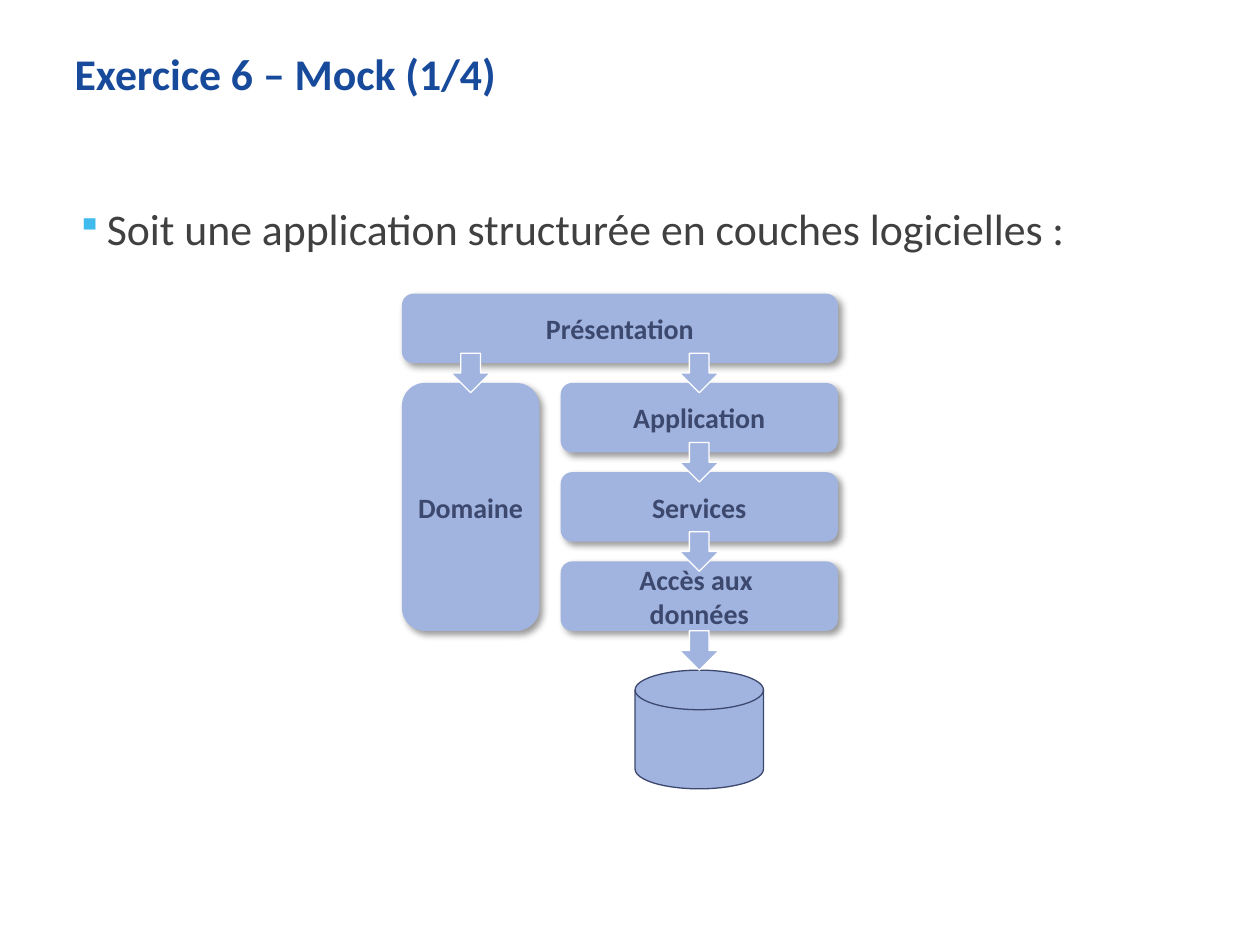
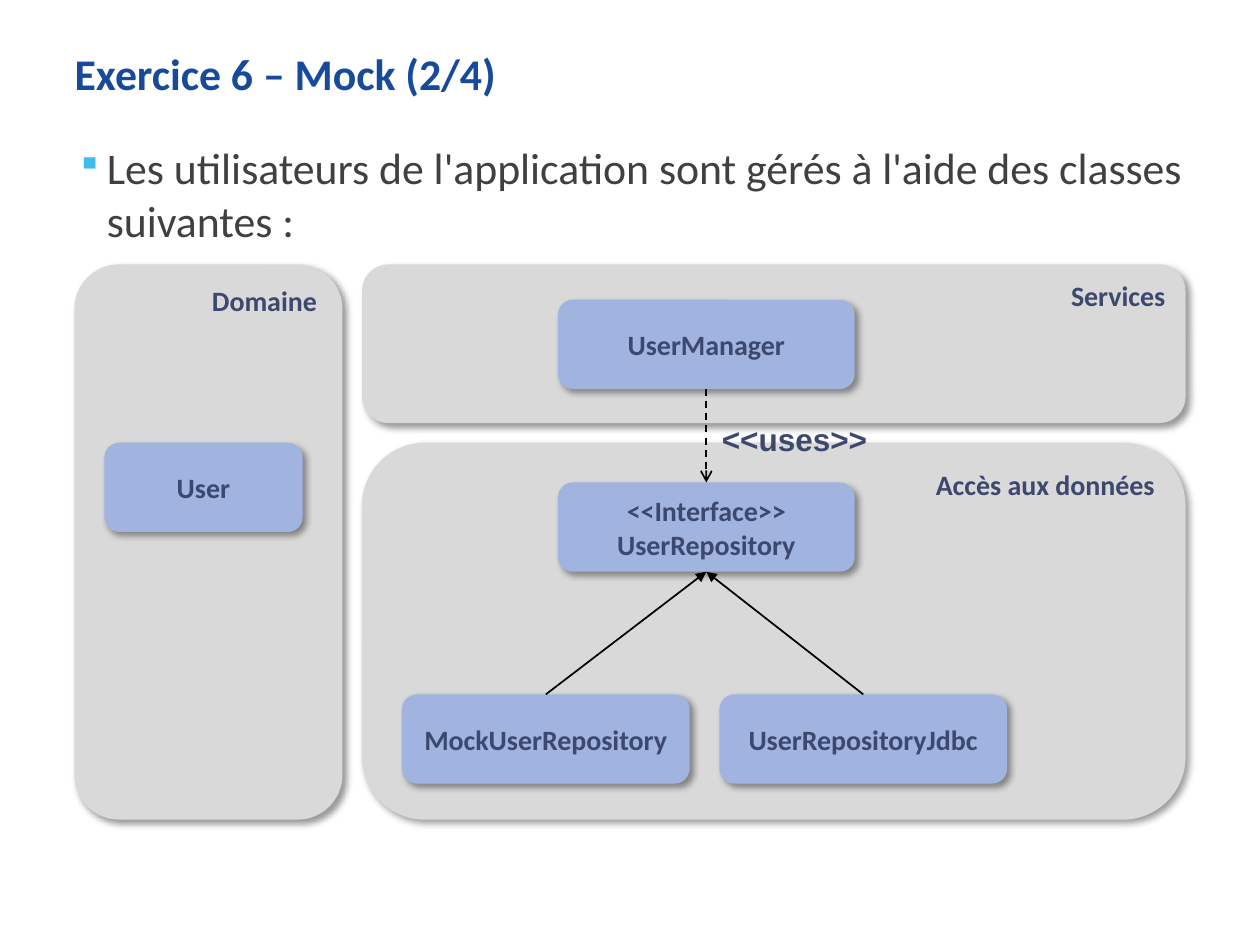
from lxml.etree import SubElement
from pptx import Presentation
from pptx.dml.color import RGBColor
from pptx.enum.dml import MSO_LINE
from pptx.enum.shapes import MSO_CONNECTOR as Connector, MSO_SHAPE as Preset
from pptx.enum.text import MSO_ANCHOR as Anchor, MSO_AUTO_SIZE as AutoSize, PP_ALIGN as Align
from pptx.oxml.ns import qn
from pptx.util import Pt

NAVY = RGBColor(0x17, 0x4A, 0x9B)
SLATE = RGBColor(0x3C, 0x48, 0x6E)
PERIWINKLE = RGBColor(0xA1, 0xB4, 0xDF)
GREY = RGBColor(0xD9, 0xD9, 0xD9)
CHARCOAL = RGBColor(0x40, 0x40, 0x40)
SKY = RGBColor(0x40, 0xBB, 0xED)
BLACK = RGBColor(0, 0, 0)
WHITE = RGBColor(0xFF, 0xFF, 0xFF)

TOP, BOTTOM = 0, 2


def add_xml(parent, tag, **attributes):
    return SubElement(parent, qn(tag), {key: str(value) for key, value in attributes.items()})


class Deck:
    font = "Calibri"
    heading_size = 25
    label_size = 16
    indent = 17.3

    def __init__(self):
        self.presentation = Presentation()
        self.presentation.slide_width = Pt(720)
        self.presentation.slide_height = Pt(540)
        self.slide = None

    def add_slide(self, title):
        self.slide = self.presentation.slides.add_slide(self.presentation.slide_layouts[5])
        shape = self.slide.shapes.title
        shape.left, shape.top, shape.width, shape.height = Pt(35.5), Pt(23), Pt(648.5), Pt(46)
        frame = shape.text_frame
        frame.auto_size = AutoSize.NONE
        frame.vertical_anchor = Anchor.TOP
        self.add_lines(frame, [title], self.heading_size, NAVY)

    def add_lines(self, frame, lines, size, color, align=Align.LEFT, bold=True, font=None):
        for index, line in enumerate(lines):
            paragraph = frame.add_paragraph() if index else frame.paragraphs[0]
            paragraph.alignment = align
            run = paragraph.add_run()
            run.text = line
            run.font.name = font or self.font
            run.font.size = Pt(size)
            run.font.bold = bold
            run.font.color.rgb = color

    def text_box(self, left, top, width, height):
        shape = self.slide.shapes.add_textbox(Pt(left), Pt(top), Pt(width), Pt(height))
        shape.text_frame.word_wrap = True
        return shape.text_frame

    def bullet(self, top, height, text):
        frame = self.text_box(36.7, top, 648, height)
        self.add_lines(frame, [text], self.heading_size, CHARCOAL, bold=False)
        properties = frame.paragraphs[0]._p.get_or_add_pPr()
        properties.set("marL", str(Pt(self.indent)))
        properties.set("indent", str(-Pt(self.indent)))
        add_xml(add_xml(properties, "a:buClr"), "a:srgbClr", val=SKY)
        add_xml(properties, "a:buSzPct", val=80000)
        add_xml(properties, "a:buChar", char="▪")

    def label(self, left, top, width, height, text):
        self.add_lines(self.text_box(left, top, width, height), [text], 18, SLATE, font="Arial")

    def shape(self, preset, left, top, width, height, fill=PERIWINKLE, line=None):
        shape = self.slide.shapes.add_shape(preset, Pt(left), Pt(top), Pt(width), Pt(height))
        shape.shadow.inherit = False
        shape.fill.solid()
        shape.fill.fore_color.rgb = fill
        if line is None:
            shape.line.fill.background()
        else:
            shape.line.color.rgb = line
            shape.line.width = Pt(0.75)
        return shape

    def box(self, left, top, width, height, *lines, fill=PERIWINKLE,
            align=Align.CENTER, anchor=Anchor.MIDDLE):
        shape = self.shape(Preset.ROUNDED_RECTANGLE, left, top, width, height, fill)
        effects = shape._element.spPr.find(qn("a:effectLst"))
        shadow = add_xml(effects, "a:outerShdw", blurRad=Pt(4), dist=Pt(3), dir=45 * 60000,
                         algn="tl", rotWithShape=0)
        add_xml(add_xml(shadow, "a:srgbClr", val=BLACK), "a:alpha", val=40000)
        frame = shape.text_frame
        frame.word_wrap = False
        frame.vertical_anchor = anchor
        self.add_lines(frame, lines, self.label_size, SLATE, align)
        return shape

    def panel(self, left, top, width, height, name):
        return self.box(left, top, width, height, name, fill=GREY,
                        align=Align.RIGHT, anchor=Anchor.TOP)

    def down_arrow(self, center, top, size):
        self.shape(Preset.DOWN_ARROW, center - size / 2, top, size, size, line=WHITE)

    def connect(self, source, target, head, dash=None):
        connector = self.slide.shapes.add_connector(Connector.STRAIGHT, 0, 0, 0, 0)
        connector.begin_connect(*source)
        connector.end_connect(*target)
        connector.line.color.rgb = BLACK
        connector.line.width = Pt(1)
        if dash:
            connector.line.dash_style = dash
        properties = connector._element.spPr
        add_xml(properties.find(qn("a:ln")), "a:tailEnd", type=head)
        add_xml(properties, "a:effectLst")


def build_layers(deck):
    deck.add_slide("Exercice 6 – Mock (1/4)")
    deck.bullet(111.6, 334.8, "Soit une application structurée en couches logicielles :")

    left, top, row_height, pitch = 229.7, 167.8, 39.7, 51
    domain_width, layer_left, layer_width = 78.5, 320.4, 158.4
    arrow_size = 22.5
    domain_center = left + domain_width / 2
    layer_center = layer_left + layer_width / 2
    gap = pitch - row_height

    deck.box(left, top, layer_left + layer_width - left, row_height, "Présentation")
    layers = [["Application"], ["Services"], ["Accès aux ", "données"]]
    for row, lines in enumerate(layers, start=1):
        deck.box(layer_left, top + row * pitch, layer_width, row_height, *lines)
    deck.box(left, top + pitch, domain_width, 2 * pitch + row_height, "Domaine")

    bottom = top + len(layers) * pitch + row_height
    disk_width = 73.4
    deck.shape(Preset.FLOWCHART_MAGNETIC_DISK, layer_center - disk_width / 2,
               bottom + arrow_size, disk_width, 67.8, line=SLATE)

    first_arrow = top + row_height + (gap - arrow_size) / 2
    for row in range(len(layers)):
        deck.down_arrow(layer_center, first_arrow + row * pitch, arrow_size)
    deck.down_arrow(layer_center, bottom, arrow_size)
    deck.down_arrow(domain_center, first_arrow, arrow_size)


def build_classes(deck):
    deck.add_slide("Exercice 6 – Mock (2/4)")
    deck.bullet(77, 368.7, "Les utilisateurs de l'application sont gérés à l'aide "
                "des classes suivantes :")

    top, bottom, data_top = 151.1, 468.4, 253
    panel_left, panel_width = 206.9, 470.6
    class_height, class_left, class_width = 51, 318.8, 169.6
    repository_top, repository_width = 396.8, 164.4

    deck.panel(panel_left, top, panel_width, 90.7, "Services")
    deck.panel(panel_left, data_top, panel_width, bottom - data_top, "Accès aux données")
    deck.panel(42.5, top, 153.2, bottom - top, "Domaine")

    interface = deck.box(class_left, 275.7, class_width, class_height,
                         "<<Interface>>", "UserRepository")
    repositories = [
        deck.box(left, repository_top, repository_width, class_height, name)
        for left, name in [(229.7, "MockUserRepository"), (411.1, "UserRepositoryJdbc")]
    ]
    manager = deck.box(class_left, 171.3, class_width, class_height, "UserManager")
    deck.box(59.6, data_top, 113.3, class_height, "User")

    for repository in repositories:
        deck.connect((repository, TOP), (interface, BOTTOM), "triangle")
    deck.connect((manager, BOTTOM), (interface, TOP), "arrow", MSO_LINE.DASH)
    deck.label(405.4, 236.2, 118.8, 29, "<<uses>>")


deck = Deck()
build_layers(deck)
build_classes(deck)
deck.presentation.save("out.pptx")
